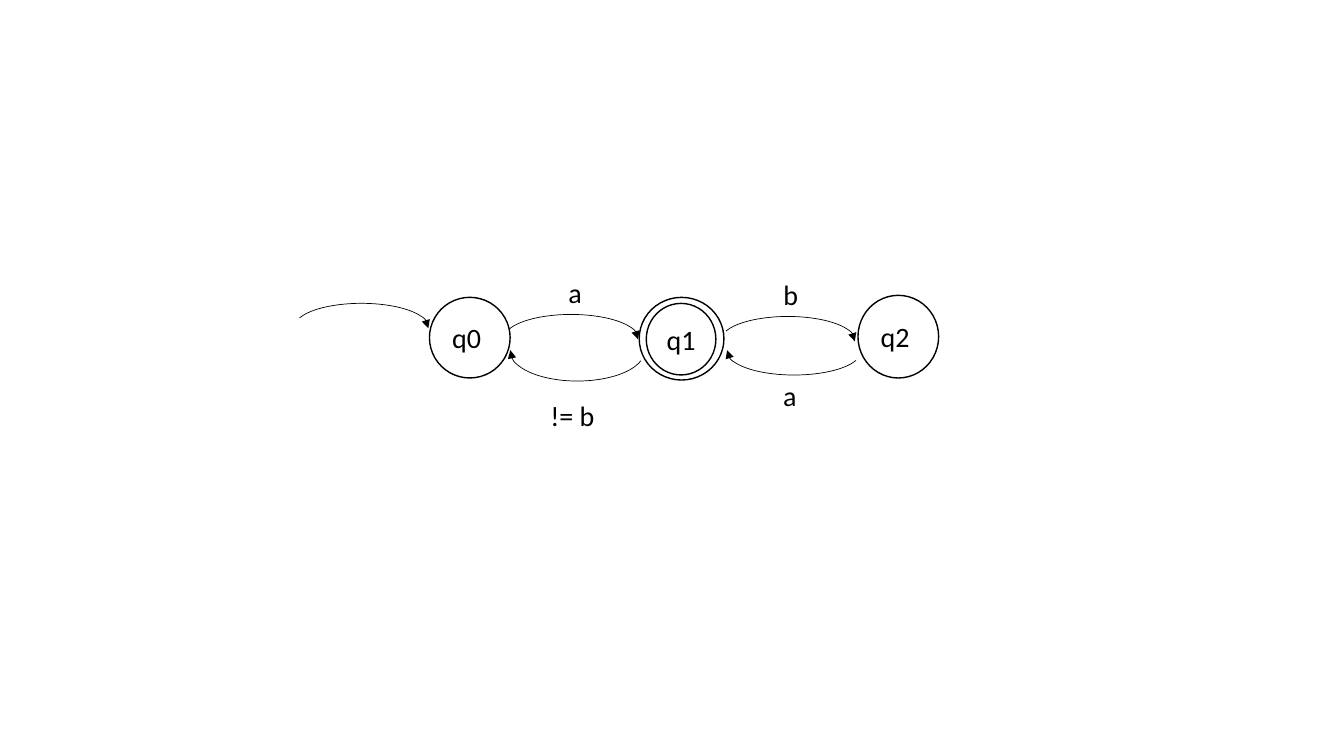
import pptx
import pptx.util
import pptx.dml.color
import pptx.enum.shapes
import pptx.enum.text
import pptx.oxml

Inches = pptx.util.Inches
Pt = pptx.util.Pt
SHAPE = pptx.enum.shapes.MSO_SHAPE
ALIGN = pptx.enum.text.PP_ALIGN
ANCHOR = pptx.enum.text.MSO_ANCHOR
AUTO_SIZE = pptx.enum.text.MSO_AUTO_SIZE
TAIL = ('<a:tailEnd xmlns:a="http://schemas.openxmlformats.org/drawingml/2006/main"'
        ' type="triangle"/>')
ARC_WIDTH, ARC_HEIGHT, LABEL_HEIGHT = 1.33, 0.47, 0.44


def color(value):
    return pptx.dml.color.RGBColor.from_string(value)


def add_text(tf, text, size=20, font="Calibri", fill="000000", align=ALIGN.LEFT):
    p = tf.paragraphs[0]
    p.alignment = align
    r = p.add_run()
    r.text = text
    r.font.size = Pt(size)
    r.font.name = font
    r.font.color.rgb = color(fill)


def add_outline(s, preset, left, top, width, height, weight):
    sp = s.shapes.add_shape(preset, *map(Inches, (left, top, width, height)))
    sp.shadow.inherit = False
    sp.line.color.rgb = color("000000")
    sp.line.width = Pt(weight)
    return sp


def add_state(s, left, top, width, height, name=""):
    sp = add_outline(s, SHAPE.OVAL, left, top, width, height, 1)
    sp.fill.solid()
    sp.fill.fore_color.rgb = color("FFFFFF")
    if name:
        sp.text_frame.vertical_anchor = ANCHOR.MIDDLE
        add_text(sp.text_frame, name, align=ALIGN.CENTER)


def add_transition(s, left, top, height=ARC_HEIGHT, back=False):
    sp = add_outline(s, SHAPE.ARC, left, top, ARC_WIDTH, height, 0.5)
    sp.fill.background()
    sp.adjustments[0] = 113.017
    sp.adjustments[1] = 0.629
    sp.rotation = 180 if back else 0
    sp.line._get_or_add_ln().append(pptx.oxml.parse_xml(TAIL))


def add_label(s, text, left, top, width):
    sp = s.shapes.add_textbox(*map(Inches, (left, top, width, LABEL_HEIGHT)))
    sp.text_frame.word_wrap = False
    sp.text_frame.auto_size = AUTO_SIZE.SHAPE_TO_FIT_TEXT
    add_text(sp.text_frame, text)


def main():
    prs = pptx.Presentation()
    prs.slide_width, prs.slide_height = Inches(13.33), Inches(7.5)
    s = prs.slides.add_slide(prs.slide_layouts[6])

    add_state(s, 6.34, 2.95, 0.84, 0.82)
    add_state(s, 4.26, 2.95, 0.8, 0.8, "q0 ")
    add_state(s, 6.41, 3.01, 0.69, 0.71, "q1 ")
    add_state(s, 8.51, 2.93, 0.8, 0.82, "q2 ")

    add_transition(s, 5, 3.12)
    add_transition(s, 7.15, 3.14)
    add_transition(s, 7.21, 3.25, back=True)
    add_transition(s, 5.06, 3.19, height=0.59, back=True)

    add_label(s, "a", 5.54, 2.68, 0.34)
    add_label(s, "b", 7.67, 2.7, 0.35)
    add_label(s, "a", 7.67, 3.71, 0.34)
    add_label(s, "!= b", 5.36, 3.9, 0.64)

    add_transition(s, 2.92, 3.01)
    prs.save("out.pptx")


main()
